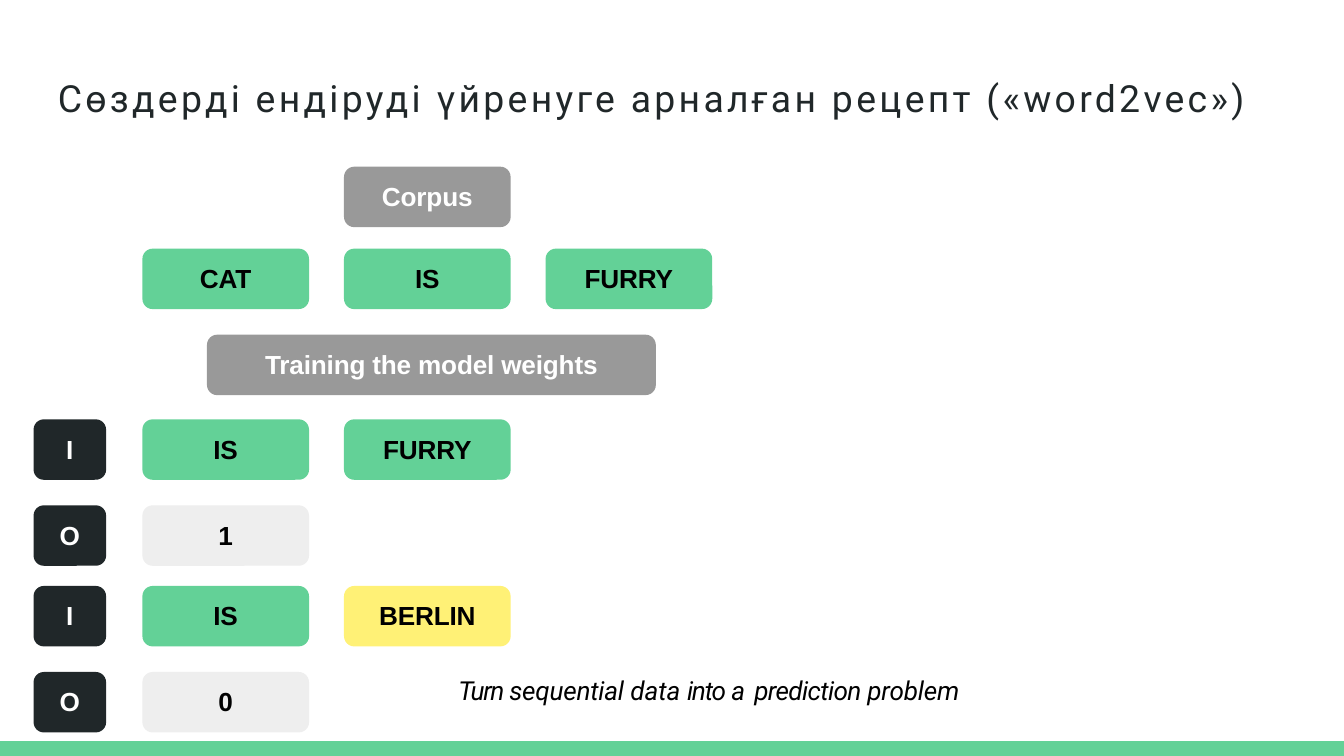
from dataclasses import dataclass

from pptx import Presentation
from pptx.dml.color import RGBColor
from pptx.enum.shapes import MSO_SHAPE
from pptx.enum.text import MSO_ANCHOR, PP_ALIGN
from pptx.util import Inches, Pt

ROUNDED = MSO_SHAPE.ROUNDED_RECTANGLE
RECTANGLE = MSO_SHAPE.RECTANGLE
TOP, MIDDLE = MSO_ANCHOR.TOP, MSO_ANCHOR.MIDDLE
LEFT, CENTER = PP_ALIGN.LEFT, PP_ALIGN.CENTER


@dataclass(frozen=True)
class Theme:
    green: str = "63D197"
    gray: str = "999999"
    light: str = "EEEEEE"
    yellow: str = "FFF176"
    dark: str = "202729"
    black: str = "000000"
    white: str = "FFFFFF"
    heading_font: str = "Roboto"
    label_font: str = "Arial"
    title_size: int = 20
    body_size: int = 14


THEME = Theme()

# Content: text runs are (text, letter spacing in points)
TITLE = [("Сөздерді ендіруді үйренуге арналған рецепт («word2vec»)", 1.75)]
CAPTION = [("Turn ", -0.8), ("sequential ", -0.15), ("data ", 0), ("into ", -0.65),
           ("a ", 0.7), ("prediction ", -0.35), ("problem", -0.1)]

# Each row lists (column, kind, text)
ROWS = [
    [("second", "heading", "Corpus")],
    [("first", "word", "CAT"), ("second", "word", "IS"), ("third", "word", "FURRY")],
    [("wide", "heading", "Training the model weights")],
    [("tag", "tag", "I"), ("first", "word", "IS"), ("second", "word", "FURRY")],
    [("tag", "tag", "O"), ("first", "label", "1")],
    [("tag", "tag", "I"), ("first", "word", "IS"), ("second", "negative", "BERLIN")],
    [("tag", "tag", "O"), ("first", "label", "0")],
]
KINDS = {  # fill, text colour
    "heading": (THEME.gray, THEME.white),
    "word": (THEME.green, THEME.black),
    "negative": (THEME.yellow, THEME.black),
    "label": (THEME.light, THEME.black),
    "tag": (THEME.dark, THEME.white),
}

# Grid in inches
SLIDE_WIDTH = 10
SLIDE_HEIGHT = SLIDE_WIDTH * 9 / 16
FOOTER_HEIGHT = 0.11
FIRST_LEFT, COLUMN_STEP, WORD_WIDTH = 1.06, 1.5, 1.24
COLUMNS = {  # left, width
    name: (FIRST_LEFT + index * COLUMN_STEP, WORD_WIDTH)
    for index, name in enumerate(["first", "second", "third"])
}
COLUMNS["tag"] = (0.25, 0.54)
COLUMNS["wide"] = (1.54, 3.34)
ROW_TOPS = [1.24, 1.85, 2.49, 3.12, 3.76, 4.36, 5.0]
BOX_HEIGHT = 0.45
CORNER = 0.17


def set_text(shape, runs, font, size, color, align=LEFT, anchor=TOP,
             bold=False, italic=False, top_inset=0, bottom_inset=0, wrap=True):
    frame = shape.text_frame
    frame.word_wrap = wrap
    frame.vertical_anchor = anchor
    frame.margin_left = frame.margin_right = 0
    frame.margin_top = Inches(top_inset)
    frame.margin_bottom = Inches(bottom_inset)
    paragraph = frame.paragraphs[0]
    paragraph.alignment = align
    for text, spacing in runs:
        run = paragraph.add_run()
        run.text = text
        run.font.name = font
        run.font.size = Pt(size)
        run.font.bold = bold
        run.font.italic = italic
        run.font.color.rgb = RGBColor.from_string(color)
        run._r.get_or_add_rPr().set("spc", str(round(spacing * 100)))


def add_box(slide, preset, left, top, width, height, fill):
    shape = slide.shapes.add_shape(
        preset, Inches(left), Inches(top), Inches(width), Inches(height))
    shape.shadow.inherit = False
    shape.fill.solid()
    shape.fill.fore_color.rgb = RGBColor.from_string(fill)
    shape.line.fill.background()
    return shape


def add_title(slide):
    title = slide.shapes.title
    title.left, title.top = Inches(0.43), Inches(0.55)
    title.width, title.height = Inches(9.4), Inches(0.35)
    set_text(title, TITLE, THEME.heading_font, THEME.title_size, THEME.dark,
             top_inset=0.01)


def add_rows(slide):
    for top, row in zip(ROW_TOPS, ROWS):
        for column, kind, text in row:
            left, width = COLUMNS[column]
            fill, color = KINDS[kind]
            box = add_box(slide, ROUNDED, left, top, width, BOX_HEIGHT, fill)
            box.adjustments[0] = CORNER
            set_text(box, [(text, -0.1)], THEME.label_font, THEME.body_size, color,
                     align=CENTER, anchor=MIDDLE, bold=True, bottom_inset=0.01)


def add_caption(slide):
    caption = slide.shapes.add_textbox(
        Inches(3.41), Inches(5.01), Inches(3.98), Inches(0.26))
    set_text(caption, CAPTION, THEME.heading_font, THEME.body_size, THEME.black,
             italic=True, top_inset=0.01, wrap=False)


def main():
    presentation = Presentation()
    presentation.slide_width = Inches(SLIDE_WIDTH)
    presentation.slide_height = Inches(SLIDE_HEIGHT)
    slide = presentation.slides.add_slide(presentation.slide_layouts[5])
    add_box(slide, RECTANGLE, 0, SLIDE_HEIGHT - FOOTER_HEIGHT,
            SLIDE_WIDTH, FOOTER_HEIGHT, THEME.green)
    add_title(slide)
    add_rows(slide)
    add_caption(slide)
    presentation.save("out.pptx")


if __name__ == "__main__":
    main()
